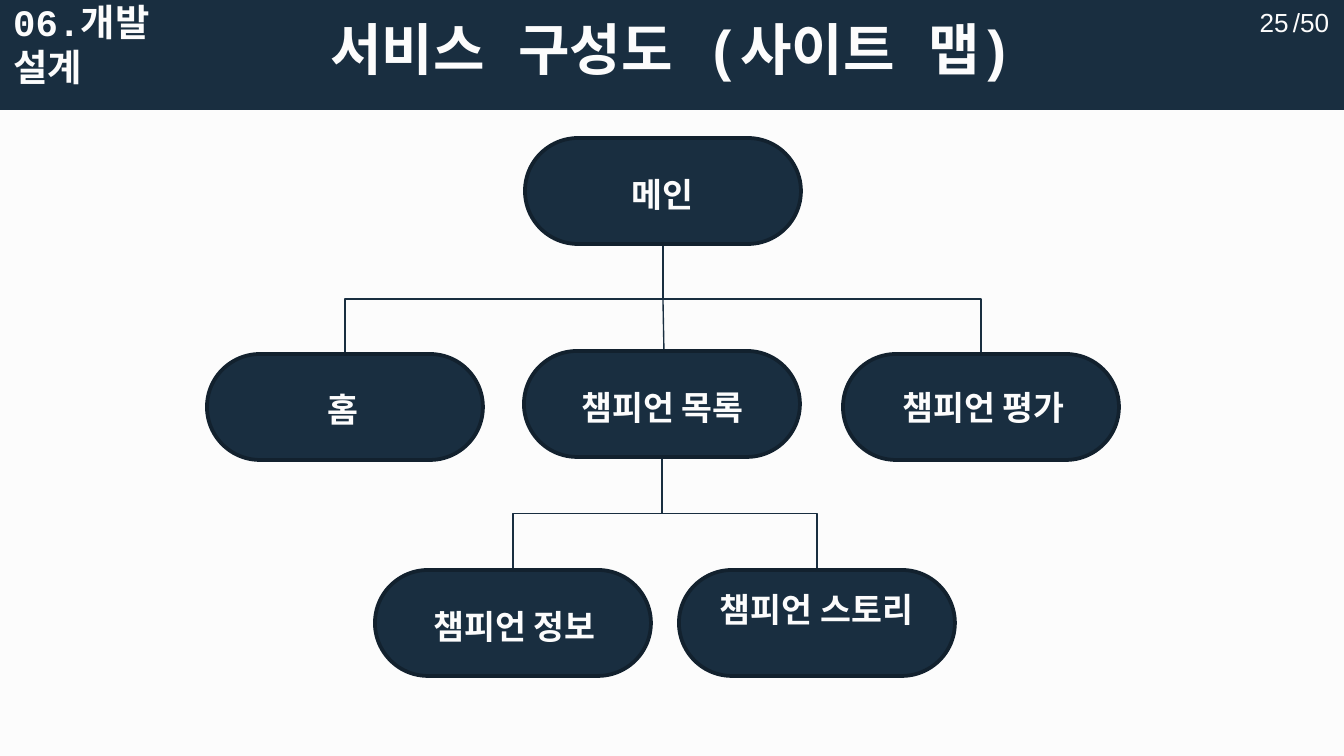
import pptx
import pptx.util
import pptx.dml.color
import pptx.enum.shapes
import pptx.enum.text
import pptx.oxml
import pptx.oxml.ns

SCALE = 914400 / 134.4
NAVY, EDGE, PALE = "192E40", "12212E", "FCFCFC"
KIND = pptx.enum.shapes.MSO_SHAPE
LINK = pptx.enum.shapes.MSO_CONNECTOR
ALIGN = pptx.enum.text.PP_ALIGN
ANCHOR = pptx.enum.text.MSO_ANCHOR
HEAD = {"size": pptx.util.Pt(30), "name": "Courier New", "bold": True}
PART = HEAD | {"size": pptx.util.Pt(20)}
LABEL = {"size": pptx.util.Pt(18), "name": "Noto Sans CJK KR", "bold": True}
PAGE = {"size": pptx.util.Pt(14), "name": "Arial", "bold": False}
WIDE, HIGH = 276, 106


def px(*sizes):
    return [pptx.util.Emu(round(size * SCALE)) for size in sizes]


def paint(color, tone):
    color.rgb = pptx.dml.color.RGBColor.from_string(tone)


def fill(target, tone):
    target.solid()
    paint(target.fore_color, tone)


def add_text(slide, box, words, form, align, anchor=ANCHOR.TOP):
    frame = slide.shapes.add_textbox(*px(*box)).text_frame
    frame.word_wrap = True
    frame.vertical_anchor = anchor
    para = frame.paragraphs[0]
    para.alignment = align
    run = para.add_run()
    run.text = words
    for key, value in form.items():
        setattr(run.font, key, value)
    paint(run.font.color, PALE)
    east = pptx.oxml.parse_xml(
        f'<a:ea {pptx.oxml.ns.nsdecls("a")} typeface="{form["name"]}"/>')
    run._r.get_or_add_rPr().append(east)


def add_block(slide, kind, box, edge=None):
    block = slide.shapes.add_shape(kind, *px(*box))
    block.shadow.inherit = False
    fill(block.fill, NAVY)
    if edge:
        paint(block.line.color, edge)
        block.line.width = pptx.util.Pt(2)
    else:
        block.line.fill.background()
    return block


def add_line(slide, kind, *ends):
    line = slide.shapes.add_connector(kind, *px(*ends))
    paint(line.line.color, NAVY)
    line.line.width = pptx.util.Pt(0.75)
    line._element.spPr.append(pptx.oxml.parse_xml(
        f'<a:effectLst {pptx.oxml.ns.nsdecls("a")}/>'))
    return line


def add_bend(slide, left, top, right, low):
    mid, half = (left + right) / 2, (top + low) / 2
    run, drop = (right - left) / 2, (low - top) / 2
    line = add_line(slide, LINK.ELBOW, mid - drop, half + run, mid + drop, half - run)
    line._element.spPr.xfrm.set("rot", "5400000")


def add_node(slide, left, top, words, shift, drop):
    pill = add_block(slide, KIND.ROUNDED_RECTANGLE, (left, top, WIDE, HIGH), EDGE)
    pill.adjustments[0] = 0.5
    add_text(slide, (left + shift, top + drop, 241, 54), words, LABEL, ALIGN.CENTER)


def add_header(slide, left, top, wide, high):
    add_block(slide, KIND.RECTANGLE, (left - 7, top, wide + 14, high))
    add_text(slide, (left, top, wide, high), "서비스 구성도 (사이트 맵)",
             HEAD, ALIGN.CENTER, ANCHOR.MIDDLE)
    add_text(slide, (left, top + 6, 239, 59), "06.개발 설계", PART, ALIGN.LEFT)
    right = left + wide
    add_text(slide, (right - 106, top + 13, 64, 54), "25", PAGE, ALIGN.RIGHT)
    add_text(slide, (right - 65, top + 13, 64, 54), "/50", PAGE, ALIGN.CENTER)


def add_map(slide, left, top):
    nodes = [
        (318, 0, "메인", 17, 29),
        (0, 216, "홈", 15, 28),
        (317, 213, "챔피언 목록", 18, 29),
        (636, 216, "챔피언 평가", 20, 26),
        (168, 432, "챔피언 정보", 19, 29),
        (472, 432, "챔피언 스토리", 17, 12),
    ]
    main, home, roll, rate, info, tale = nodes
    for source, kids in ((main, (home, rate)), (roll, (info, tale))):
        for kid in kids:
            add_bend(slide, left + source[0] + WIDE / 2, top + source[1] + HIGH,
                     left + kid[0] + WIDE / 2, top + kid[1])
    stem = left + main[0] + WIDE / 2
    add_line(slide, LINK.STRAIGHT, stem, top + 161, stem + 1, top + roll[1])
    for across, down, *label in nodes:
        add_node(slide, left + across, top + down, *label)


def main():
    deck = pptx.Presentation()
    deck.slide_width, deck.slide_height = px(1344, 756)
    slide = deck.slides.add_slide(deck.slide_layouts[6])
    fill(slide.background.fill, PALE)
    add_header(slide, 0, -13, 1344, 123)
    add_map(slide, 207, 138)
    deck.save("out.pptx")


if __name__ == "__main__":
    main()
